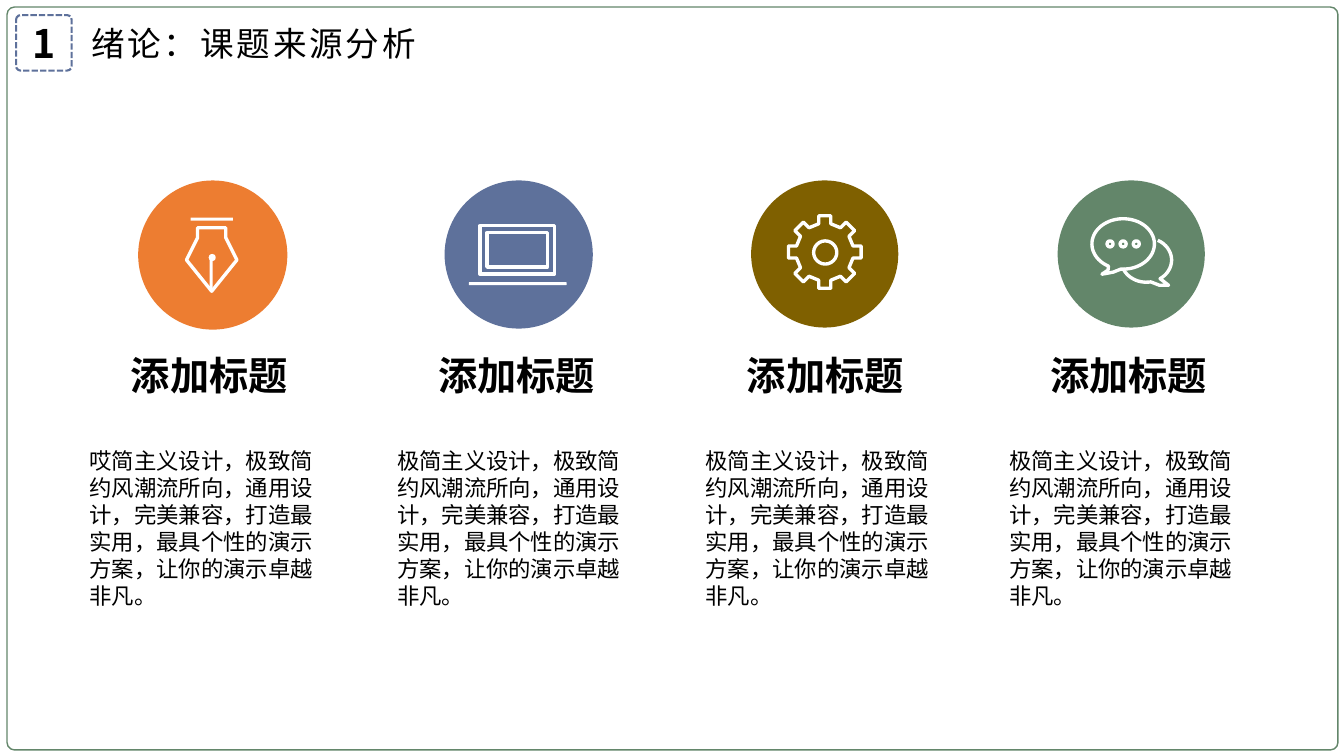
from math import cos, radians, sin

from lxml import etree
from pptx import Presentation
from pptx.dml.color import RGBColor
from pptx.enum import dml, shapes, text
from pptx.oxml import ns
from pptx.util import Inches, Pt

FONT = "Noto Sans CJK SC"
BLACK = RGBColor(0x00, 0x00, 0x00)
WHITE = RGBColor(0xFF, 0xFF, 0xFF)
ORANGE = RGBColor(0xED, 0x7D, 0x31)
BLUE = RGBColor(0x5E, 0x71, 0x9B)
BROWN = RGBColor(0x7F, 0x60, 0x00)
GREEN = RGBColor(0x63, 0x86, 0x6A)
STROKE = 2.4
RECTANGLE = shapes.MSO_SHAPE.RECTANGLE
ROUNDED = shapes.MSO_SHAPE.ROUNDED_RECTANGLE
OVAL = shapes.MSO_SHAPE.OVAL


def style(shape, fill=None, line=None, width=1):
    """Give a shape a flat fill and outline; None means neither is drawn."""
    shape.shadow.inherit = False
    if fill is None:
        shape.fill.background()
    else:
        shape.fill.solid()
        shape.fill.fore_color.rgb = fill
    if line is None:
        shape.line.fill.background()
    else:
        shape.line.color.rgb = line
        shape.line.width = Pt(width)


def write(shape, words, size, bold=False, align=text.PP_ALIGN.LEFT, wrap=True):
    shape.text_frame.word_wrap = wrap
    paragraph = shape.text_frame.paragraphs[0]
    paragraph.alignment = align
    run = paragraph.add_run()
    run.text = words
    run.font.size = Pt(size)
    run.font.bold = bold
    run.font.color.rgb = BLACK
    run.font.name = FONT
    properties = run._r.get_or_add_rPr()
    etree.SubElement(properties, ns.qn("a:ea")).set("typeface", FONT)
    return properties


presentation = Presentation()
presentation.slide_width = Inches(13.33)
presentation.slide_height = Inches(7.5)
slide = presentation.slides.add_slide(presentation.slide_layouts[6])

# Frame and heading
frame = slide.shapes.add_shape(ROUNDED, Inches(0.07), Inches(0.07), Inches(13.2), Inches(7.37))
frame.adjustments[0] = 0.01
style(frame, line=GREEN)

number = slide.shapes.add_shape(ROUNDED, Inches(0.16), Inches(0.15), Inches(0.55), Inches(0.55))
number.adjustments[0] = 0.08
style(number, line=BLUE, width=1.5)
number.line.dash_style = dml.MSO_LINE.SQUARE_DOT
number_frame = number.text_frame
number_frame.margin_left = number_frame.margin_right = 0
number_frame.margin_top = number_frame.margin_bottom = 0
write(number, "1", 28, bold=True, align=text.PP_ALIGN.CENTER)

heading = slide.shapes.add_shape(ROUNDED, Inches(0.72), Inches(0.15), Inches(3.59), Inches(0.55))
style(heading)
write(heading, "绪论：课题来源分析", 24, align=text.PP_ALIGN.CENTER).set("spc", "200")

# Coloured discs, each the back of one icon group
icons = []
for column, (colour, size) in enumerate([(ORANGE, 1.48), (BLUE, 1.47), (BROWN, 1.46), (GREEN, 1.46)]):
    icon = slide.shapes.add_group_shape()
    disc = icon.shapes.add_shape(
        OVAL, Inches(1.37 + 3.04 * column), Inches(1.79), Inches(size), Inches(size))
    style(disc, fill=colour)
    icons.append(icon)
pen, laptop, gear, chat = icons

# Solid white parts
for icon, kind, left, top, width, height in [
    (pen, RECTANGLE, 2.08, 2.53, 0.03, 0.34),
    (pen, OVAL, 2.07, 2.52, 0.07, 0.07),
    (pen, RECTANGLE, 1.89, 2.16, 0.42, 0.03),
    (laptop, ROUNDED, 4.65, 2.8, 0.97, 0.03),
]:
    part = icon.shapes.add_shape(kind, Inches(left), Inches(top), Inches(width), Inches(height))
    style(part, fill=WHITE)

# Outlined white parts
rings = [
    (laptop, RECTANGLE, 4.76, 2.24, 0.74, 0.48),
    (laptop, RECTANGLE, 4.83, 2.31, 0.6, 0.34),
    (gear, OVAL, 8.07, 2.39, 0.23, 0.23),
]
rings += [(chat, OVAL, 10.98 + 0.13 * dot, 2.39, 0.06, 0.06) for dot in range(3)]
for icon, kind, left, top, width, height in rings:
    part = icon.shapes.add_shape(kind, Inches(left), Inches(top), Inches(width), Inches(height))
    style(part, line=WHITE, width=STROKE)

# Free outlines: pen nib, gear rim and speech bubbles
nib = [(2.1, 2.89), (1.85, 2.58), (1.96, 2.36), (1.96, 2.26),
       (2.24, 2.26), (2.24, 2.36), (2.35, 2.58)]

rim = []
for tooth in range(8):
    turn = radians(45 * tooth)
    for across, out in [(-0.06, 0.28), (-0.06, 0.36), (0.06, 0.36), (0.06, 0.28)]:
        rim.append((8.18 + across * cos(turn) + out * sin(turn),
                    2.5 + across * sin(turn) - out * cos(turn)))

bubbles = []
for centre_x, centre_y, radius_x, radius_y, angles_before, tail, angles_after in [
    (11.14, 2.42, 0.31, 0.25, range(94, -245, -6), [(10.99, 2.68), (10.93, 2.72), (11.04, 2.7)], []),
    (11.37, 2.58, 0.25, 0.22, range(-63, 58, 6), [(11.59, 2.83), (11.5, 2.83)], range(80, 159, 6)),
]:
    before, after = [
        [(centre_x + radius_x * cos(radians(angle)), centre_y + radius_y * sin(radians(angle)))
         for angle in angles]
        for angles in (angles_before, angles_after)]
    bubbles.append(before + tail + after)
front_bubble, rear_bubble = bubbles

for icon, points, closed in [
    (pen, nib, True), (gear, rim, True), (chat, front_bubble, True), (chat, rear_bubble, False),
]:
    corners = [(Inches(x), Inches(y)) for x, y in points]
    builder = icon.shapes.build_freeform(*corners[0])
    builder.add_line_segments(corners[1:], close=closed)
    style(builder.convert_to_shape(), line=WHITE, width=STROKE)

# Column titles and descriptions
DESCRIPTION = "极简主义设计，极致简约风潮流所向，通用设计，完美兼容，打造最实用，最具个性的演示方案，让你的演示卓越非凡。"
for column, left in enumerate([0.79, 3.84, 6.9, 9.91]):
    title = slide.shapes.add_textbox(Inches(left + 0.41), Inches(3.44), Inches(1.77), Inches(0.57))
    write(title, "添加标题", 28, bold=True, wrap=False)
    body = slide.shapes.add_textbox(Inches(left), Inches(4.39), Inches(2.6), Inches(1.72))
    first = "哎" if column == 0 else "极"
    write(body, first + DESCRIPTION[1:], 16)

presentation.save("out.pptx")
